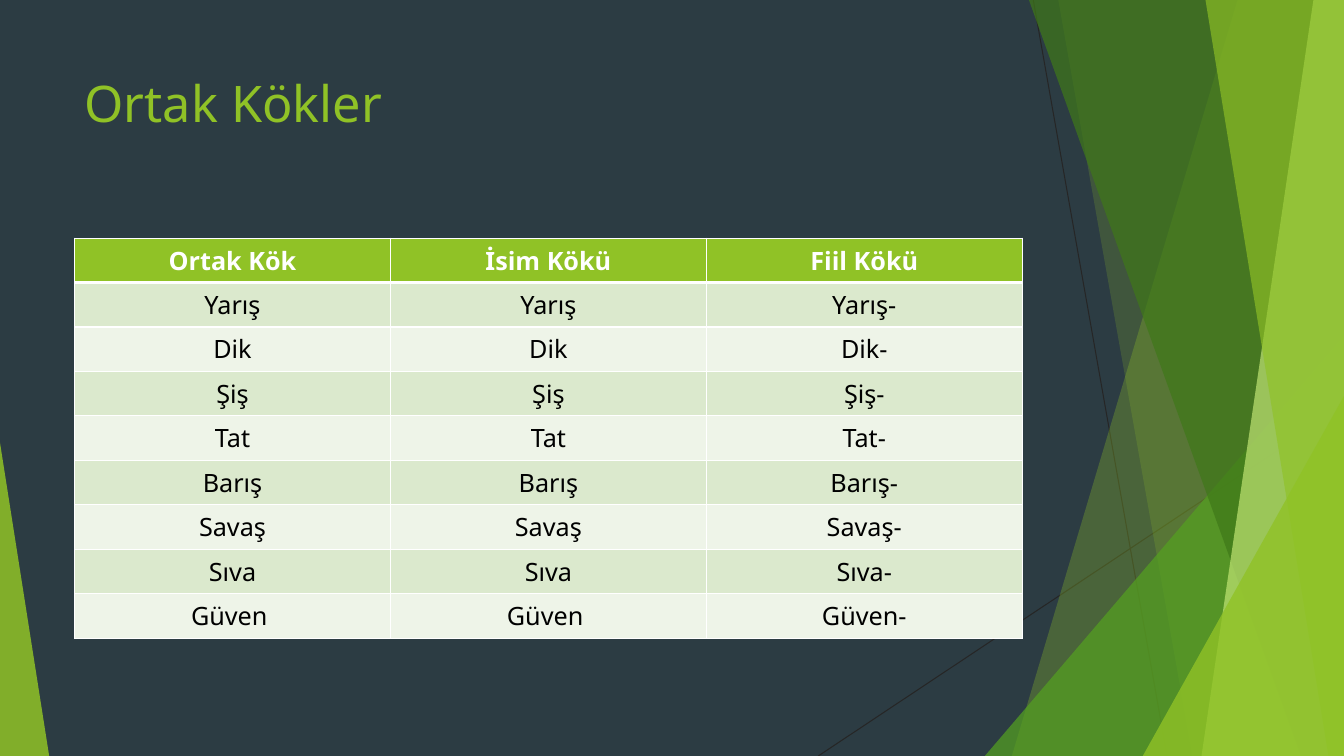
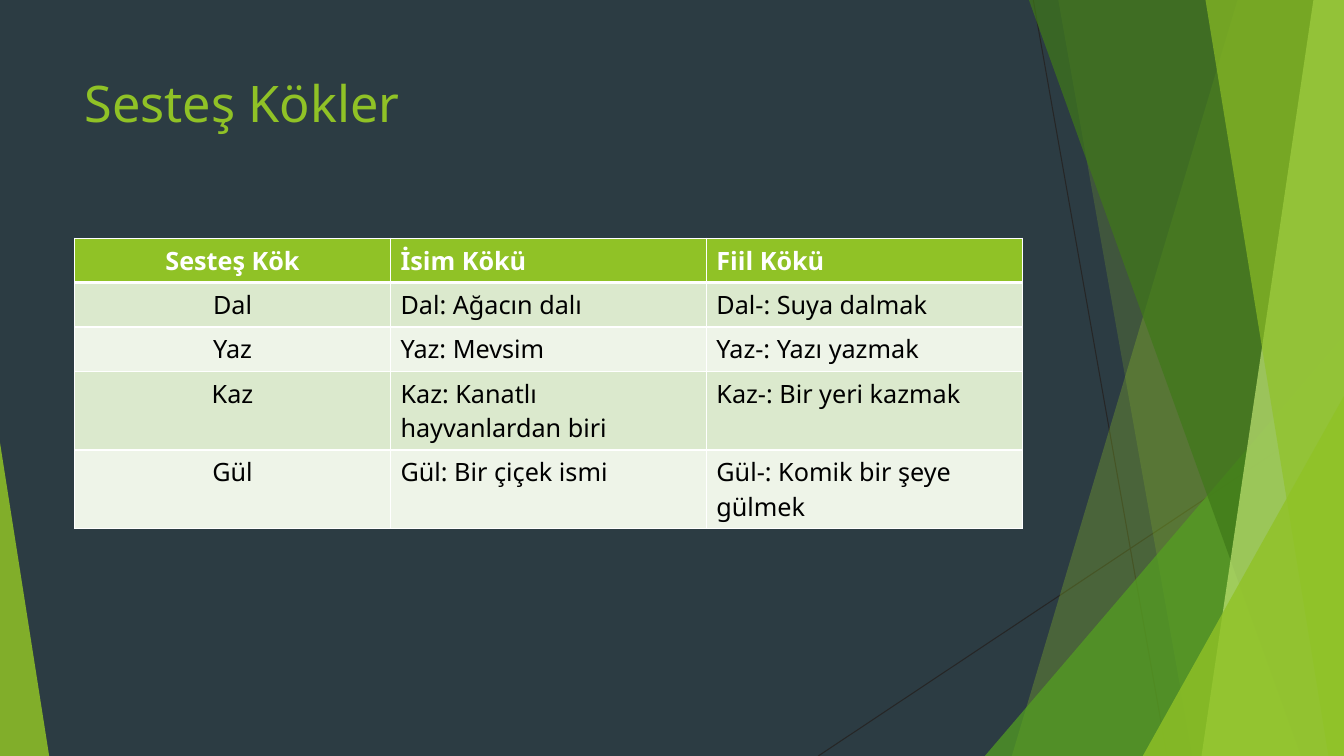
from dataclasses import dataclass

import lxml.etree
import pptx
import pptx.dml.color
import pptx.enum.shapes
import pptx.enum.text
import pptx.oxml.ns
import pptx.shapes.base
import pptx.slide
import pptx.table
import pptx.util

Cm = pptx.util.Cm
Pt = pptx.util.Pt
RGBColor = pptx.dml.color.RGBColor
Align = pptx.enum.text.PP_ALIGN
qn = pptx.oxml.ns.qn

# Theme
FONT = "Noto Sans"
SLATE = RGBColor(0x2C, 0x3C, 0x43)
CHARCOAL = RGBColor(0x26, 0x26, 0x26)
LIME = RGBColor(0x90, 0xC2, 0x26)
GREEN = RGBColor(0x54, 0xA0, 0x21)
FOREST = RGBColor(0x3F, 0x78, 0x19)
PALE_LIME = RGBColor(0xC0, 0xE4, 0x74)
WHITE = RGBColor(0xFF, 0xFF, 0xFF)
BLACK = RGBColor(0, 0, 0)
BANDS = (RGBColor(0xDB, 0xE9, 0xCD), RGBColor(0xEE, 0xF4, 0xE8))

# Layout, in centimetres
SLIDE_W, SLIDE_H = 33.87, 19.05
LEFT, CONTENT_W = 1.88, 23.88
TITLE_TOP, TITLE_H = 1.7, 3.66
TABLE_TOP = 6.0
ROW_H, EXTRA_LINE_H = 1.12, 0.86


@dataclass
class Ray:
    """Thin line between two points."""
    x1: float
    y1: float
    x2: float
    y2: float


@dataclass
class Panel:
    """Full-height facet with a slanted left edge, up to the right border."""
    top_x: float
    bottom_x: float
    color: RGBColor
    opacity: int


@dataclass
class Wedge:
    """Right triangle that stands on the bottom border."""
    left: float
    top: float
    right: float
    apex: float
    color: RGBColor
    opacity: int


@dataclass
class TableSlide:
    title: str
    header: tuple[str, ...]
    rows: list[tuple[str, ...]]
    aligns: tuple[Align, ...]
    line_counts: tuple[int, ...]  # text lines per row, header first


# Facets, from back to front
RAYS = [Ray(26.04, 0, 29.41, SLIDE_H), Ray(SLIDE_W, 10.24, 20.62, SLIDE_H)]
FACETS = [
    Panel(31.19, 25.5, LIME, 30),
    Panel(26.67, 30.05, LIME, 20),
    Wedge(24.82, 8.46, SLIDE_W, 1, GREEN, 72),
    Panel(25.93, 32.79, FOREST, 70),
    Panel(33.1, 30.28, PALE_LIME, 70),
    Panel(30.38, 33.48, LIME, 65),
    Wedge(28.8, 9.98, SLIDE_W, 1, LIME, 80),
    Wedge(0, 11.15, 1.24, 0, LIME, 85),
]

# Content
COMMON_ROOTS = ("Yarış", "Dik", "Şiş", "Tat", "Barış", "Savaş", "Sıva", "Güven ")
SLIDES = [
    TableSlide(
        "Ortak Kökler",
        ("Ortak Kök", "İsim Kökü", "Fiil Kökü"),
        [(root, root, root.strip() + "-") for root in COMMON_ROOTS],
        (Align.CENTER,) * 3,
        (1,) * (len(COMMON_ROOTS) + 1),
    ),
    TableSlide(
        "Sesteş Kökler",
        ("Sesteş Kök", "İsim Kökü", "Fiil Kökü"),
        [
            ("Dal", "Dal: Ağacın dalı", "Dal-: Suya dalmak"),
            ("Yaz", "Yaz: Mevsim", "Yaz-: Yazı yazmak"),
            ("Kaz", "Kaz: Kanatlı hayvanlardan biri", "Kaz-: Bir yeri kazmak"),
            ("Gül", "Gül: Bir çiçek ismi", "Gül-: Komik bir şeye gülmek"),
        ],
        (Align.CENTER, Align.LEFT, Align.LEFT),
        (1, 1, 1, 2, 2),
    ),
]


def draw_ray(slide: pptx.slide.Slide, ray: Ray) -> None:
    line = slide.shapes.add_connector(
        pptx.enum.shapes.MSO_CONNECTOR.STRAIGHT,
        Cm(ray.x1), Cm(ray.y1), Cm(ray.x2), Cm(ray.y2))
    line.line.color.rgb = CHARCOAL
    line.line.width = Pt(0.75)
    lxml.etree.SubElement(line.element.spPr, qn("a:effectLst"))


def add_panel(slide: pptx.slide.Slide, panel: Panel) -> pptx.shapes.base.BaseShape:
    builder = slide.shapes.build_freeform(Cm(panel.top_x), 0)
    corners = [(SLIDE_W, 0), (SLIDE_W, SLIDE_H), (panel.bottom_x, SLIDE_H)]
    builder.add_line_segments([(Cm(x), Cm(y)) for x, y in corners], close=True)
    return builder.convert_to_shape()


def add_wedge(slide: pptx.slide.Slide, wedge: Wedge) -> pptx.shapes.base.BaseShape:
    sp = slide.shapes.add_shape(
        pptx.enum.shapes.MSO_SHAPE.ISOSCELES_TRIANGLE, Cm(wedge.left), Cm(wedge.top),
        Cm(wedge.right - wedge.left), Cm(SLIDE_H - wedge.top))
    sp.adjustments[0] = wedge.apex
    return sp


def draw_facet(slide: pptx.slide.Slide, facet: Panel | Wedge) -> None:
    add = add_panel if isinstance(facet, Panel) else add_wedge
    sp = add(slide, facet)
    sp.shadow.inherit = False
    sp.line.fill.background()
    sp.fill.solid()
    sp.fill.fore_color.rgb = facet.color
    color = sp.element.spPr.find(qn("a:solidFill"))[0]
    lxml.etree.SubElement(color, qn("a:alpha"), val=str(facet.opacity * 1000))


def draw_title(slide: pptx.slide.Slide, title: str) -> None:
    sp = slide.shapes.add_textbox(Cm(LEFT), Cm(TITLE_TOP), Cm(CONTENT_W), Cm(TITLE_H))
    tf = sp.text_frame
    tf.word_wrap = True
    p = tf.paragraphs[0]
    p.text = title
    p.font.name, p.font.size, p.font.color.rgb = FONT, Pt(36), LIME


def set_borders(cell: pptx.table._Cell, top: int, bottom: int) -> None:
    props = cell._tc.get_or_add_tcPr()
    for side, width in (("L", 1), ("R", 1), ("T", top), ("B", bottom)):
        ln = lxml.etree.SubElement(props, qn(f"a:ln{side}"), w=str(Pt(width)))
        fill = lxml.etree.SubElement(ln, qn("a:solidFill"))
        lxml.etree.SubElement(fill, qn("a:srgbClr"), val=str(WHITE))


def draw_table(slide: pptx.slide.Slide, content: TableSlide) -> None:
    rows = [content.header, *content.rows]
    heights = [ROW_H + EXTRA_LINE_H * (count - 1) for count in content.line_counts]
    table = slide.shapes.add_table(
        len(rows), len(content.header), Cm(LEFT), Cm(TABLE_TOP),
        Cm(CONTENT_W), Cm(sum(heights))).table
    table.horz_banding = False
    for i, (texts, height) in enumerate(zip(rows, heights)):
        table.rows[i].height = Cm(height)
        is_header = i == 0
        for j, text in enumerate(texts):
            cell = table.cell(i, j)
            # Borders come before the fill in the cell properties
            set_borders(cell, top=3 if i == 1 else 1, bottom=3 if is_header else 1)
            cell.fill.solid()
            cell.fill.fore_color.rgb = LIME if is_header else BANDS[(i - 1) % 2]
            p = cell.text_frame.paragraphs[0]
            p.text = text
            p.alignment = content.aligns[j]
            p.font.name, p.font.size, p.font.bold = FONT, Pt(18), is_header
            p.font.color.rgb = WHITE if is_header else BLACK


# Build the presentation
prs = pptx.Presentation()
prs.slide_width, prs.slide_height = Cm(SLIDE_W), Cm(SLIDE_H)
background = prs.slide_master.background.fill
background.solid()
background.fore_color.rgb = SLATE
for content in SLIDES:
    slide = prs.slides.add_slide(prs.slide_layouts[6])
    for ray in RAYS:
        draw_ray(slide, ray)
    for facet in FACETS:
        draw_facet(slide, facet)
    draw_title(slide, content.title)
    draw_table(slide, content)
prs.save("out.pptx")
